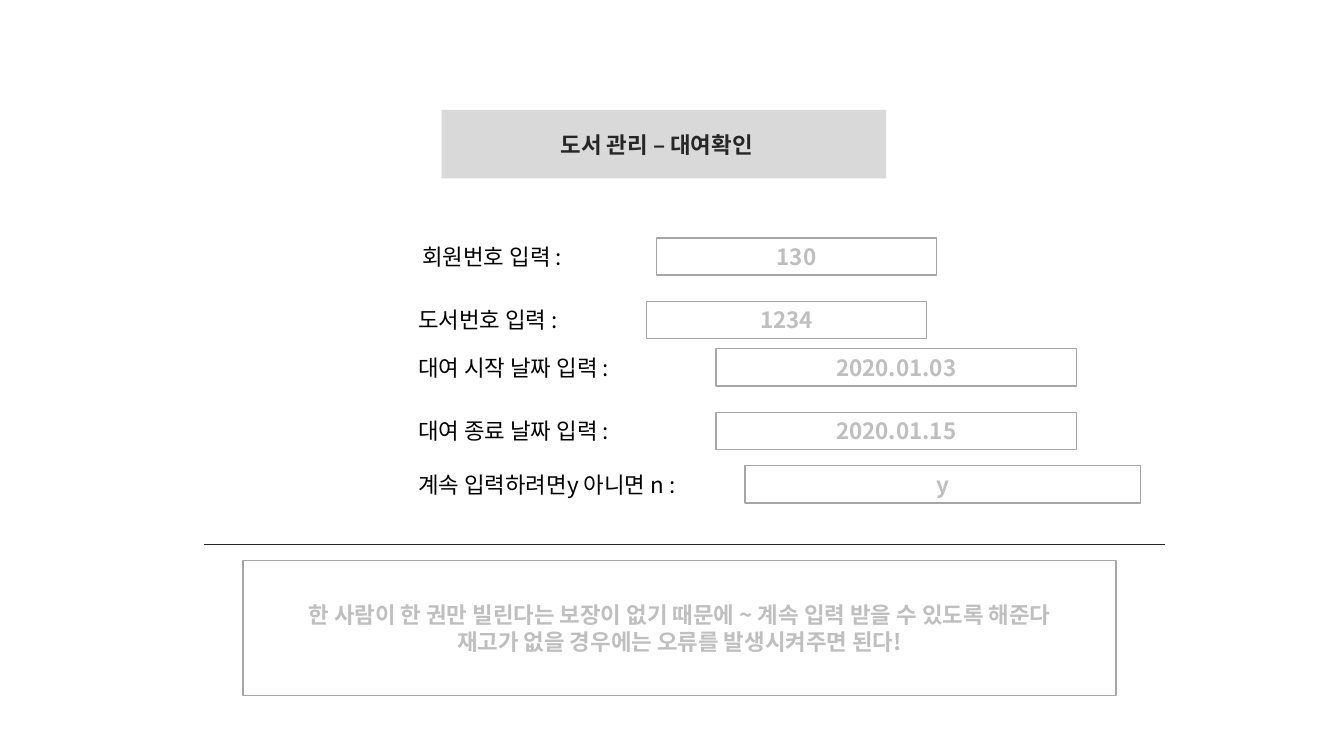
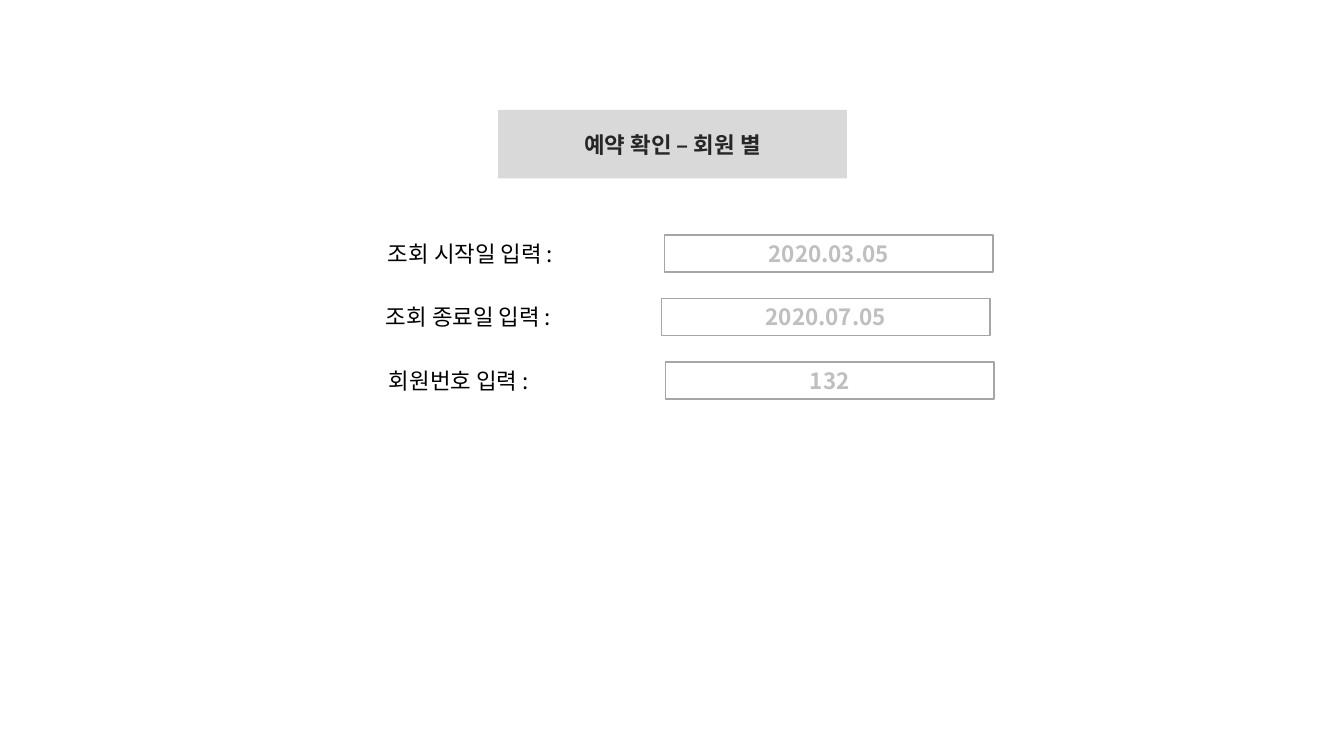
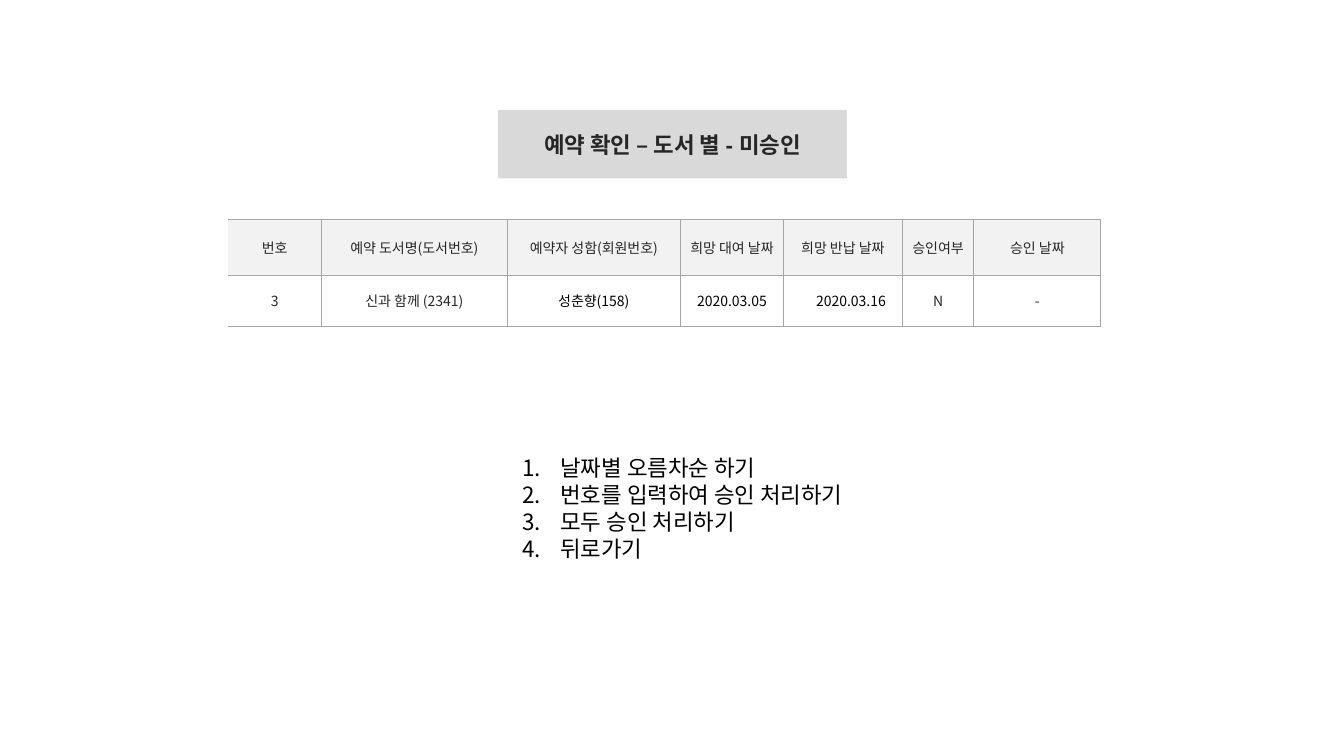
"""Library console screens: loan check, bookings by member, bookings awaiting approval."""
from lxml import etree
from pptx import Presentation
from pptx.dml.color import RGBColor
from pptx.enum.shapes import MSO_CONNECTOR, MSO_SHAPE
from pptx.enum.text import MSO_ANCHOR, PP_ALIGN
from pptx.oxml.ns import qn
from pptx.util import Inches, Pt

RECTANGLE = MSO_SHAPE.RECTANGLE
STRAIGHT = MSO_CONNECTOR.STRAIGHT
MIDDLE = MSO_ANCHOR.MIDDLE
LEFT, CENTER = PP_ALIGN.LEFT, PP_ALIGN.CENTER

COLORS = {
    "white": "FFFFFF",
    "black": "000000",
    "ink": "262626",
    "band": "D9D9D9",
    "header": "F2F2F2",
    "border": "A6A6A6",
    "entry": "BFBFBF",
}
BODY_FONT, TITLE_FONT = "Noto Sans CJK KR", "Arial"
ROW_HEIGHT = 0.37


def write(frame, lines, color, size=16, bold=False, align=LEFT, font=BODY_FONT):
    frame.word_wrap = True
    for index, line in enumerate(lines):
        para = frame.paragraphs[0] if index == 0 else frame.add_paragraph()
        para.alignment = align
        span = para.add_run()
        span.text = line
        span.font.size = Pt(size)
        span.font.bold = bold
        span.font.color.rgb = RGBColor.from_string(COLORS[color])
        span.font.name = font
        east_asian = etree.SubElement(span.font._element, qn("a:ea"))
        east_asian.set("typeface", BODY_FONT)


def add_box(page, place, lines, fill="white", line="border", color="entry", font=BODY_FONT):
    box = page.shapes.add_shape(RECTANGLE, *map(Inches, place))
    box.shadow.inherit = False
    box.fill.solid()
    box.fill.fore_color.rgb = RGBColor.from_string(COLORS[fill])
    if line:
        box.line.color.rgb = RGBColor.from_string(COLORS[line])
        box.line.width = Pt(1)
    else:
        box.line.fill.background()
    box.text_frame.vertical_anchor = MIDDLE
    write(box.text_frame, lines, color, bold=True, align=CENTER, font=font)
    return box


deck = Presentation()
deck.slide_width, deck.slide_height = Inches(13.33), Inches(7.5)

screens = [
    ("도서 관리 – 대여확인", 4.38, 4.41, [
        ("회원번호 입력 :", 4.09, 1.83, "130", 6.51, 2.78, 2.36),
        ("도서번호 입력 :", 4.05, 1.77, "1234", 6.41, 2.78, 2.99),
        ("대여 시작 날짜 입력 :", 4.05, 2.38, "2020.01.03", 7.1, 3.58, 3.46),
        ("대여 종료 날짜 입력 :", 4.05, 2.38, "2020.01.15", 7.1, 3.58, 4.09),
        ("계속 입력하려면y 아니면 n :", 4.05, 3.07, "y", 7.39, 3.92, 4.62),
    ]),
    ("예약 확인 – 회원 별", 4.94, 3.46, [
        ("조회 시작일 입력 :", 3.75, 2.14, "2020.03.05", 6.59, 3.26, 2.33),
        ("조회 종료일 입력 :", 3.73, 2.14, "2020.07.05", 6.56, 3.26, 2.96),
        ("회원번호 입력 :", 3.76, 1.83, "132", 6.6, 3.26, 3.59),
    ]),
    ("예약 확인 – 도서 별 - 미승인", 4.94, 3.46, []),
]

pages, titles = [], []
for title, title_left, title_width, fields in screens:
    page = deck.slides.add_slide(deck.slide_layouts[6])
    pages.append(page)
    titles.append(add_box(page, (title_left, 1.09, title_width, 0.68), [title],
                          fill="band", line=None, color="ink", font=TITLE_FONT))
    for label, label_left, label_width, entry, entry_left, entry_width, top in fields:
        label_box = page.shapes.add_textbox(
            *map(Inches, (label_left, top, label_width, ROW_HEIGHT)))
        write(label_box.text_frame, [label], "black")
        add_box(page, (entry_left, top, entry_width, ROW_HEIGHT), [entry])

loan_page, member_page, approval_page = pages
titles[0].text_frame.margin_right = Inches(0.24)

divider = loan_page.shapes.add_connector(STRAIGHT, *map(Inches, (2.02, 5.4, 11.55, 5.4)))
divider.line.color.rgb = RGBColor.from_string(COLORS["ink"])
divider.line.width = Pt(0.5)
etree.SubElement(divider._element.spPr, qn("a:effectLst"))
add_box(loan_page, (2.41, 5.56, 8.66, 1.34), [
    "한 사람이 한 권만 빌린다는 보장이 없기 때문에 ~ 계속 입력 받을 수 있도록 해준다",
    "재고가 없을 경우에는 오류를 발생시켜주면 된다!",
])

column_widths = [0.93, 1.84, 1.72, 1.02, 1.18, 0.71, 1.26]
row_heights = [0.55, 0.51]
bookings = [
    ["번호", "예약 도서명(도서번호)", "예약자 성함(회원번호)", "희망 대여 날짜",
     "희망 반납 날짜", "승인여부", "승인 날짜"],
    ["3", "신과 함께 (2341)", "성춘향(158)", "2020.03.05", "2020.03.16", "N", "-"],
]
black_columns = (2, 3, 4)
return_column = 4

table = approval_page.shapes.add_table(
    len(bookings), len(column_widths), Inches(2.26), Inches(2.18),
    Inches(sum(column_widths)), Inches(sum(row_heights))).table
table.first_row = False
table.horz_banding = False
for column, width in zip(table.columns, column_widths):
    column.width = Inches(width)
for row, height in zip(table.rows, row_heights):
    row.height = Inches(height)

for row_index, values in enumerate(bookings):
    for column_index, value in enumerate(values):
        cell = table.cell(row_index, column_index)
        cell.vertical_anchor = MIDDLE
        cell.margin_left = cell.margin_right = cell.margin_top = cell.margin_bottom = 0
        if row_index and column_index == return_column:
            cell.margin_left = Inches(0.16)
        color = "black" if row_index and column_index in black_columns else "ink"
        write(cell.text_frame, [value], color, size=10, align=CENTER)
        properties = cell._tc.get_or_add_tcPr()
        for side in ("lnL", "lnR", "lnT", "lnB"):
            edge = etree.SubElement(properties, qn(f"a:{side}"), w=str(Pt(0.75)))
            if side == "lnL" and column_index == 0:
                etree.SubElement(edge, qn("a:noFill"))
            else:
                paint = etree.SubElement(edge, qn("a:solidFill"))
                etree.SubElement(paint, qn("a:srgbClr"), val=COLORS["border"])
        cell.fill.solid()
        cell.fill.fore_color.rgb = RGBColor.from_string(
            COLORS["white" if row_index else "header"])

menu = approval_page.shapes.add_textbox(*map(Inches, (5.08, 4.46, 3.73, 1.18)))
write(menu.text_frame, ["날짜별 오름차순 하기", "번호를 입력하여 승인 처리하기",
                        "모두 승인 처리하기", "뒤로가기"], "black")
for para in menu.text_frame.paragraphs:
    settings = para._p.get_or_add_pPr()
    settings.set("marL", str(Inches(0.38)))
    settings.set("indent", str(Inches(-0.38)))
    etree.SubElement(settings, qn("a:buFont"), typeface=BODY_FONT)
    etree.SubElement(settings, qn("a:buAutoNum"), type="arabicPeriod")

deck.save("out.pptx")
